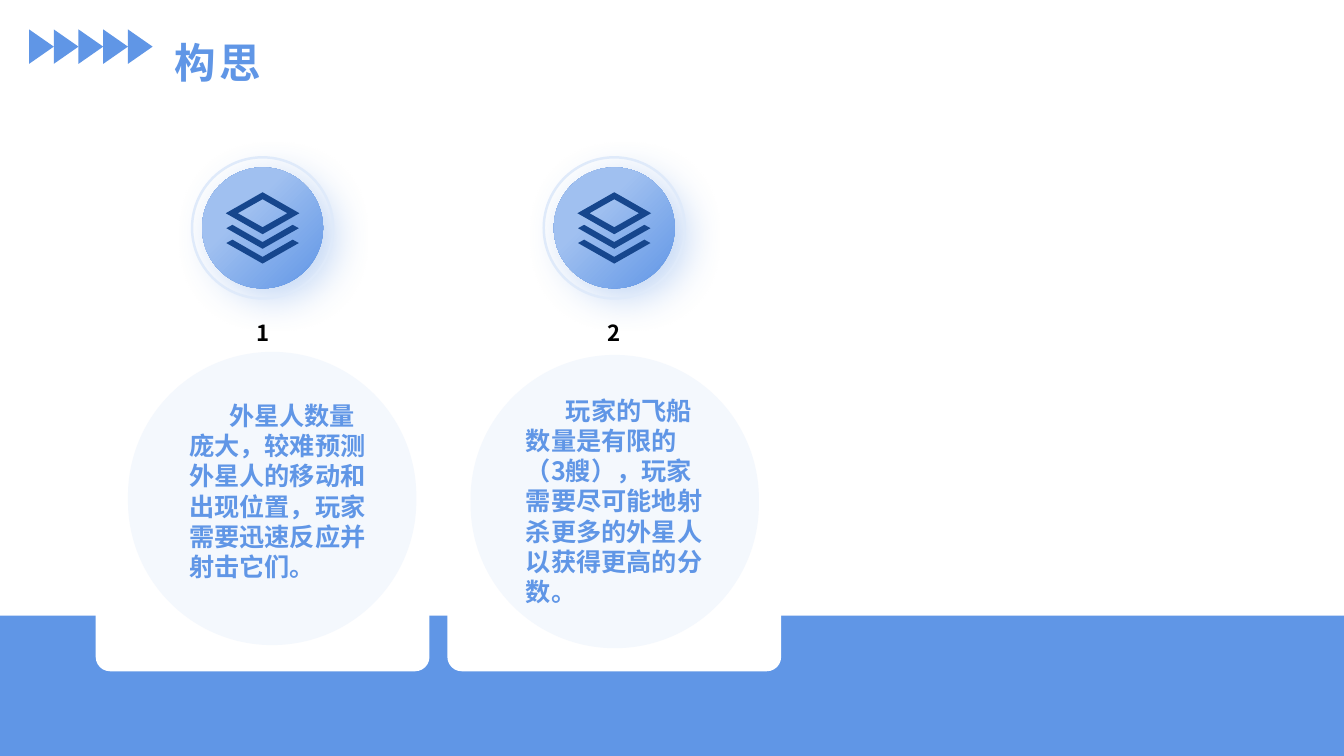
from lxml import etree
from pptx import Presentation
from pptx.dml.color import RGBColor
from pptx.enum import shapes, text
from pptx.oxml import ns
from pptx.util import Pt

FACE = "Noto Sans CJK SC"
BLUE, PALE, NAVY, WHITE = "6096E6", "DFEAFA", "16468D", "FFFFFF"
WIDE, HIGH = 960, 540
KIND = shapes.MSO_SHAPE


def hue(code):
    return RGBColor.from_string(code)


def add(parent, tag, **attrs):
    node = etree.SubElement(parent, ns.qn(tag))
    for key, val in attrs.items():
        node.set(key, str(val))
    return node


def paint(shape, fill=None, line=None, width=1):
    shape.shadow.inherit = False
    if fill:
        shape.fill.solid()
        shape.fill.fore_color.rgb = hue(fill)
    else:
        shape.fill.background()
    if line:
        shape.line.color.rgb = hue(line)
        shape.line.width = Pt(width)
    else:
        shape.line.fill.background()
    return shape


def draw(slide, kind, box, **look):
    shape = slide.shapes.add_shape(kind, *map(Pt, box))
    return paint(shape, **look)


def write(shape, words, size, color, align=text.PP_ALIGN.LEFT, gap=0):
    frame = shape.text_frame
    frame.word_wrap = True
    frame.auto_size = text.MSO_AUTO_SIZE.NONE
    frame.vertical_anchor = text.MSO_ANCHOR.MIDDLE
    para = frame.paragraphs[0]
    para.text = words
    para.alignment = align
    font = para.font
    font.name, font.size, font.bold = FACE, Pt(size), True
    font.color.rgb = hue(color)
    # East Asian face and letter spacing
    style = para._p.pPr.find(ns.qn("a:defRPr"))
    add(style, "a:ea", typeface=FACE)
    if gap:
        style.set("spc", str(gap * 100))
    return para


def label(slide, box, *args, **opts):
    return write(slide.shapes.add_textbox(*map(Pt, box)), *args, **opts)


def header(slide, box):
    x, y, w, h = box
    # Row of arrowheads
    for i in range(5):
        mark = draw(slide, KIND.ISOSCELES_TRIANGLE,
                    (x + 17.65 * i, y + 3.6, 24.6, 17.65), fill=BLUE)
        mark.rotation = 90
    # Title
    title = slide.shapes.title
    title.left, title.top = Pt(x + 100), Pt(y)
    title.width, title.height = Pt(w - 100), Pt(h)
    write(title, "构思", 29.6, BLUE, gap=3)


def badge(slide, mid, level):
    def ring(size, **look):
        box = (mid - size / 2, level - size / 2, size, size)
        return draw(slide, KIND.OVAL, box, **look)

    # Disc with a gradient from its upper left and a soft glow
    disc = ring(86.4, fill=BLUE)
    props = disc._element.spPr
    grad = etree.Element(ns.qn("a:gradFill"), rotWithShape="1")
    stops = add(grad, "a:gsLst")
    for pos, code in ((35, "A0C0F0"), (100, BLUE)):
        add(add(stops, "a:gs", pos=pos * 1000), "a:srgbClr", val=code)
    add(add(grad, "a:path", path="circle"), "a:fillToRect",
        r=100000, b=100000)
    props.replace(props.find(ns.qn("a:solidFill")), grad)
    glow = add(props.find(ns.qn("a:effectLst")), "a:outerShdw",
               blurRad=Pt(29), dist=Pt(10), dir=40 * 60000,
               algn="tl", rotWithShape=0)
    add(add(glow, "a:srgbClr", val=BLUE), "a:alpha", val=40000)
    ring(100.8, line=PALE, width=1.75)
    stack(slide, mid, level - 25.5)


def stack(slide, mid, top):
    # Icon of three layers, points measured from the top centre
    def sheet(a, b):
        return [(0, 15 - b), (a, 15), (0, 15 + b), (-a, 15)]

    def fold(y):
        return [(21.5, y), (25.9, y + 2.4), (0, y + 17.1),
                (-25.9, y + 2.4), (-21.5, y), (0, y + 12.3)]

    pen = None
    for path in (sheet(26.3, 15), sheet(17.7, 10), fold(23.3), fold(33.9)):
        dots = [(Pt(mid + x), Pt(top + y)) for x, y in path]
        if pen is None:
            pen = slide.shapes.build_freeform(*dots[0], scale=1.0)
        else:
            pen.move_to(*dots[0])
        pen.add_line_segments(dots[1:], close=True)
    paint(pen.convert_to_shape(), fill=NAVY)


def card(slide, box, number, words, blob, note):
    x, y, w, h = box
    mid = x + w / 2
    panel = draw(slide, KIND.ROUNDED_RECTANGLE, box, fill=WHITE)
    panel.adjustments[0] = 0.043
    badge(slide, mid, y + 23.8)
    # Number
    label(slide, (mid - 80.3, y + 82.8, 160.6, 31.7), number, 15.8,
          "000000", align=text.PP_ALIGN.CENTER)
    # Pale backdrop
    back = draw(slide, KIND.ROUNDED_RECTANGLE,
                (x + blob[0], y + blob[1], 206, 209.5), fill=PALE)
    back.adjustments[0] = 0.5
    tint = back._element.spPr.find(ns.qn("a:solidFill"))[0]
    add(tint, "a:alpha", val=33000)
    # Description
    para = label(slide, (x + note[0], y + note[1], 140.6, 164.2),
                 words, 18, BLUE)
    para.line_spacing = Pt(21.6)
    para._p.pPr.set("marL", "0")
    para._p.pPr.set("indent", str(Pt(28.6)))


CARDS = [
    ("外星人数量庞大，较难预测外星人的移动和出现位置，玩家需要迅速反应并射击它们。",
     (23, 112.3), (59.6, 129.6)),
    ("玩家的飞船数量是有限的（3艘），玩家需要尽可能地射杀更多的外星人以获得更高的分数。",
     (16.5, 114.5), (49, 136.6)),
]


def main():
    deck = Presentation()
    deck.slide_width, deck.slide_height = Pt(WIDE), Pt(HIGH)
    slide = deck.slides.add_slide(deck.slide_layouts[5])
    # Bottom band
    draw(slide, KIND.RECTANGLE, (0, 439.8, WIDE, HIGH - 439.8), fill=BLUE)
    header(slide, (17.3, 20.9, 844.6, 46.1))
    for i, (words, blob, note) in enumerate(CARDS):
        card(slide, (68.4 + 251.2 * i, 139, 238.4, 340.5),
             str(i + 1), words, blob, note)
    deck.save("out.pptx")


if __name__ == "__main__":
    main()
